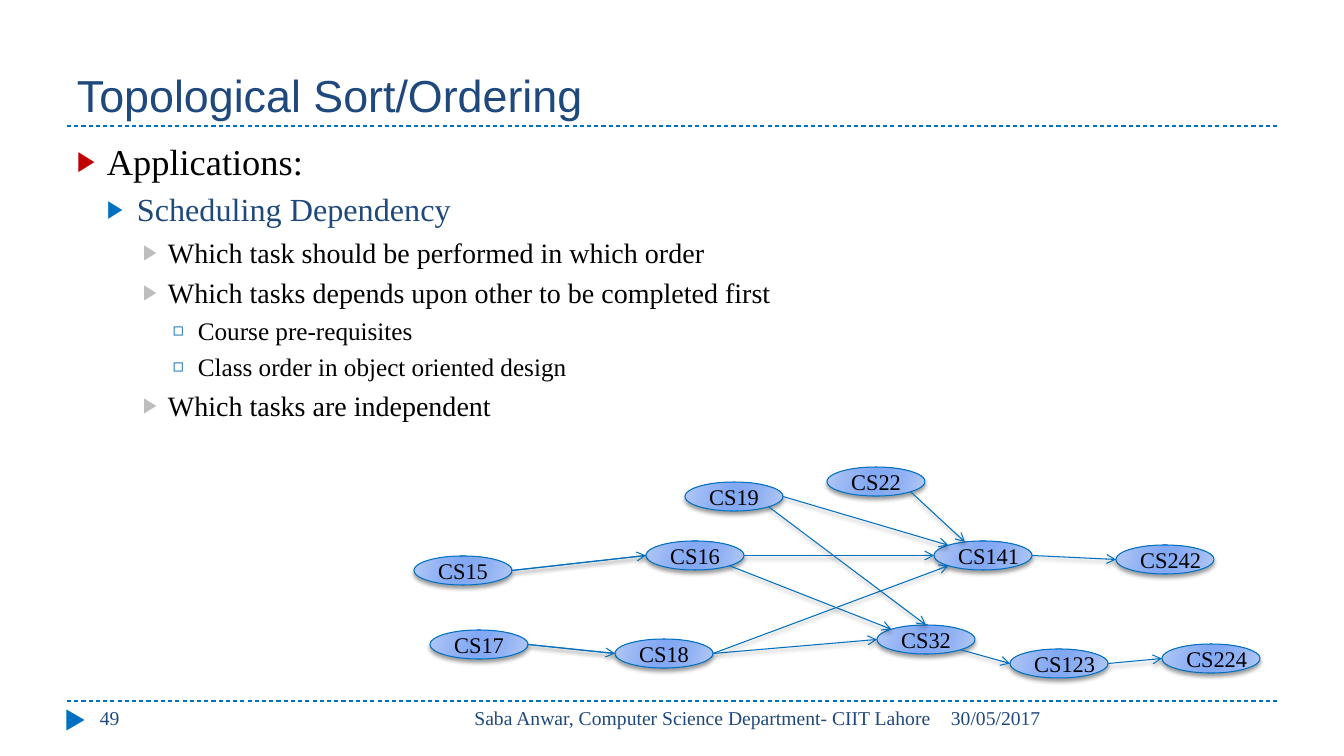
from math import sqrt

from lxml import etree
from pptx import Presentation, util as u
from pptx.dml.color import RGBColor
from pptx.enum import dml, shapes, text
from pptx.oxml import parse_xml
from pptx.oxml.ns import nsdecls, qn

# Content
TITLE = "Topological Sort/Ordering"
BODY = [  # level, text
    (0, "Applications:"),
    (1, "Scheduling Dependency"),
    (2, "Which task should be performed in which order"),
    (2, "Which tasks depends upon other to be completed first"),
    (3, "Course pre-requisites"),
    (3, "Class order in object oriented design"),
    (2, "Which tasks are independent"),
]
FOOTER = [  # text, left, width, alignment
    ("49", 90, 291, "LEFT"),
    ("Saba Anwar, Computer Science Department- CIIT Lahore", 426, 515, "RIGHT"),
    ("30/05/2017", 941, 337, "LEFT"),
]
COURSES = {  # left, top
    "CS15": (414, 556), "CS16": (646, 541), "CS17": (430, 630),
    "CS18": (615, 639), "CS19": (685, 482), "CS22": (827, 467),
    "CS32": (877, 625), "CS123": (1010, 649), "CS141": (934, 541),
    "CS224": (1162, 644), "CS242": (1116, 545),
}
EDGES = [  # from, side, to, side, arrowhead
    ("CS15", "right", "CS16", "left", False),
    ("CS17", "right", "CS18", "left", False),
    ("CS15", "right", "CS16", "left", True),
    ("CS17", "right", "CS18", "left", True),
    ("CS16", "lower right", "CS32", "upper left", True),
    ("CS18", "right", "CS32", "left", True),
    ("CS123", "right", "CS224", "left", True),
    ("CS32", "lower right", "CS123", "left", True),
    ("CS18", "right", "CS141", "lower left", True),
    ("CS141", "right", "CS242", "left", True),
    ("CS19", "right", "CS141", "upper left", True),
    ("CS16", "right", "CS141", "left", True),
    ("CS22", "lower right", "CS141", "upper middle", True),
    ("CS19", "lower right", "CS32", "top", True),
]

# Style
COLORS = {"blue": "0070C0", "navy": "1F497D", "black": "000000", "red": "C00000",
          "gray": "BDBDBD", "square": "0063A9"}
GRADIENT = [(0, "B4C9F6"), (30, "90B1F4"), (45, "83A9F4"),
            (55, "83A9F4"), (73, "90B1F4"), (100, "B4C9F6")]
LEVELS = [  # size, colour, space before, indent, hanging, bullet, its colour, its percent
    (26, "black", 6, 30, 30, "▶", "red", 76),
    (23, "navy", 5, 60, 30, "▶", "blue", 76),
    (20, "black", 5, 91, 25, "▶", "gray", 76),
    (18, "black", 4, 121, 25, "◻", "square", 70),
]
SERIF, SANS = "Times New Roman", "Arial"
NODE_W, NODE_H = 98, 29
DIAGONAL = 1 / sqrt(2)
SIDES = {  # offsets from the centre, in half widths and half heights
    "left": (-1, 0), "right": (1, 0), "top": (0, -1),
    "upper left": (-DIAGONAL, -DIAGONAL), "lower left": (-DIAGONAL, DIAGONAL),
    "lower right": (DIAGONAL, DIAGONAL), "upper middle": (-0.37, -0.93),
}
EMU_PER_PX = 914400 / 100.8


def px(n):
    return u.Emu(round(n * EMU_PER_PX))


def rgb(name):
    return RGBColor.from_string(COLORS[name])


def write(p, words, size=14, color="navy", font=SERIF, align="LEFT"):
    p.alignment = text.PP_ALIGN[align]
    r = p.add_run()
    r.text = words
    r.font.size, r.font.name = u.Pt(size), font
    r.font.color.rgb = rgb(color)


def text_box(left, top, width, height, anchor="TOP"):
    tf = s.shapes.add_textbox(px(left), px(top), px(width), px(height)).text_frame
    tf.word_wrap = True
    tf.vertical_anchor = text.MSO_ANCHOR[anchor]
    return tf


def cast_shadow(effects):
    effects.append(parse_xml(
        f'<a:outerShdw {nsdecls("a")} blurRad="38100" dist="25400" dir="5400000" rotWithShape="0">'
        '<a:srgbClr val="000000"><a:alpha val="40000"/></a:srgbClr></a:outerShdw>'))


def draw_line(start, end, dashed=False, arrow=False, shadow=False):
    c = s.shapes.add_connector(shapes.MSO_CONNECTOR.STRAIGHT, *map(px, start + end))
    c.line.color.rgb = rgb("blue")
    c.line.width = u.Pt(0.75)
    if dashed:
        c.line.dash_style = dml.MSO_LINE.DASH
    spPr = c._element.spPr
    if arrow:
        etree.SubElement(spPr.find(qn("a:ln")), qn("a:tailEnd"), type="arrow")
    effects = etree.SubElement(spPr, qn("a:effectLst"))
    if shadow:
        cast_shadow(effects)


def draw_course(name, left, top):
    sp = s.shapes.add_shape(shapes.MSO_SHAPE.OVAL, px(left), px(top), px(NODE_W), px(NODE_H))
    sp.line.color.rgb = rgb("blue")
    sp.line.width = u.Pt(0.75)
    sp.shadow.inherit = False
    spPr = sp._element.spPr
    cast_shadow(spPr.find(qn("a:effectLst")))
    stops = "".join(f'<a:gs pos="{pos * 1000}"><a:srgbClr val="{color}"/></a:gs>'
                    for pos, color in GRADIENT)
    spPr.find(qn("a:ln")).addprevious(parse_xml(
        f'<a:gradFill {nsdecls("a")} rotWithShape="1"><a:gsLst>{stops}</a:gsLst>'
        '<a:lin ang="960000" scaled="0"/></a:gradFill>'))
    tf = sp.text_frame
    tf.word_wrap = False
    tf.vertical_anchor = text.MSO_ANCHOR.MIDDLE
    write(tf.paragraphs[0], name, size=16, color="black")


def add_bullet(p, indent, hanging, char, color, percent):
    pPr = p._p.get_or_add_pPr()
    pPr.set("marL", str(px(indent)))
    pPr.set("indent", str(-px(hanging)))
    clr = etree.SubElement(pPr, qn("a:buClr"))
    etree.SubElement(clr, qn("a:srgbClr"), val=COLORS[color])
    etree.SubElement(pPr, qn("a:buSzPct"), val=str(percent * 1000))
    etree.SubElement(pPr, qn("a:buFont"), typeface=SANS)
    etree.SubElement(pPr, qn("a:buChar"), char=char)


def site(name, side):
    left, top = COURSES[name]
    dx, dy = SIDES[side]
    return left + NODE_W / 2 * (1 + dx), top + NODE_H / 2 * (1 + dy)


prs = Presentation()
prs.slide_width, prs.slide_height = px(1344), px(756)
s = prs.slides.add_slide(prs.slide_layouts[6])

# Rules and footer marker
for y in (701, 126):
    draw_line((67, y), (1277, y), dashed=True)
marker = s.shapes.add_shape(shapes.MSO_SHAPE.ISOSCELES_TRIANGLE, px(65), px(711), px(21), px(18))
marker.rotation = 90
marker.fill.solid()
marker.fill.fore_color.rgb = rgb("blue")
marker.line.fill.background()
marker.shadow.inherit = False

# Title and footer
write(text_box(67, 17, 1210, 109, anchor="BOTTOM").paragraphs[0], TITLE, size=32, font=SANS)
for words, left, width, align in FOOTER:
    write(text_box(left, 701, width, 40).paragraphs[0], words, align=align)

# Bulleted text
tf = text_box(67, 134, 1210, 544)
for i, (level, words) in enumerate(BODY):
    size, color, before, *bullet = LEVELS[level]
    p = tf.add_paragraph() if i else tf.paragraphs[0]
    p.level = level
    add_bullet(p, *bullet)
    p.space_before = u.Pt(before if i else 0)
    write(p, words, size=size, color=color)

# Course graph
for name, (left, top) in COURSES.items():
    draw_course(name, left, top)
for start, start_side, end, end_side, arrow in EDGES:
    draw_line(site(start, start_side), site(end, end_side), arrow=arrow, shadow=True)

prs.save("out.pptx")
